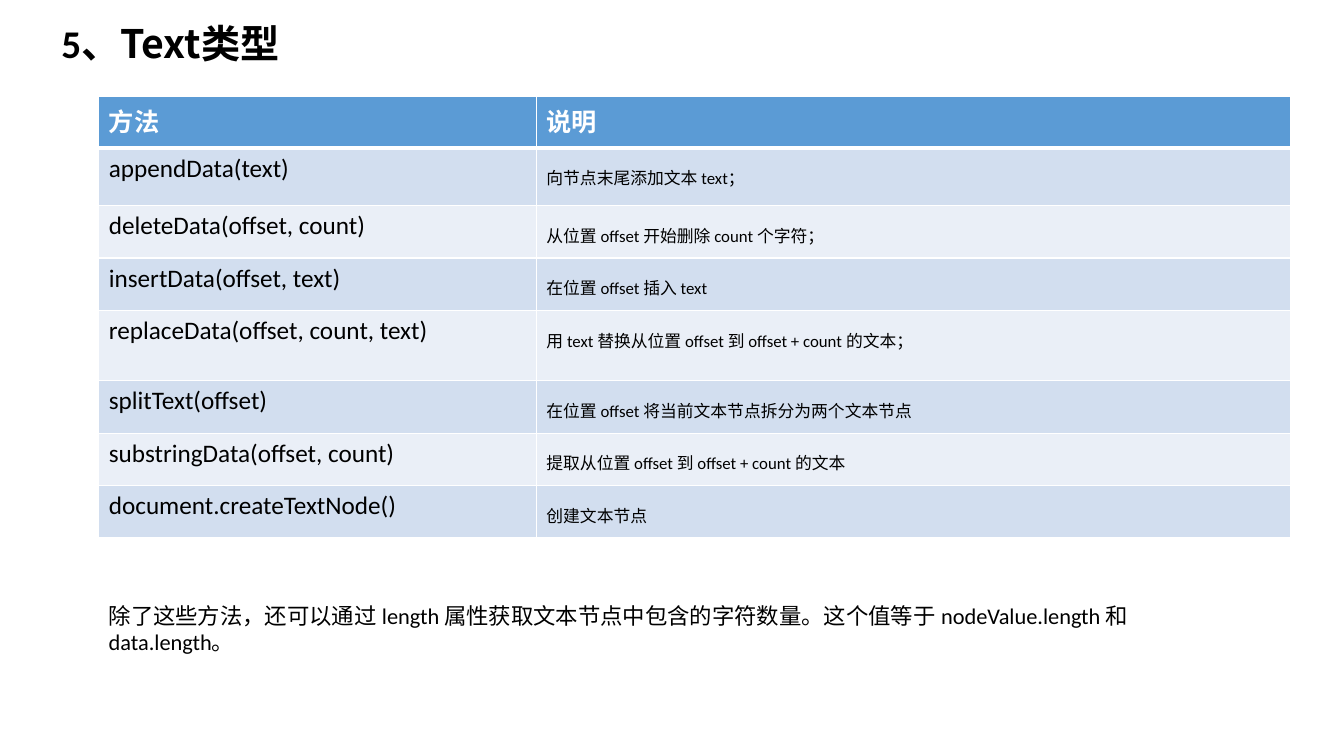
from lxml import etree
from pptx import Presentation
from pptx import util as u
from pptx.dml.color import RGBColor
from pptx.enum import lang, text
from pptx.oxml.ns import qn

TITLE = [("5、", "Calibri"), ("Text类型", "Noto Sans CJK JP")]
HEADER = ("方法", "说明")
METHODS = [
    ("appendData(text)", "向节点末尾添加文本 text；"),
    ("deleteData(offset, count)", "从位置 offset 开始删除 count 个字符；"),
    ("insertData(offset, text)", "在位置 offset 插入 text"),
    ("replaceData(offset, count, text)", "用 text 替换从位置 offset 到 offset + count 的文本；"),
    ("splitText(offset)", "在位置 offset 将当前文本节点拆分为两个文本节点"),
    ("substringData(offset, count)", "提取从位置 offset 到 offset + count 的文本"),
    ("document.createTextNode()", "创建文本节点"),
]
NOTE = ("除了这些方法，还可以通过 length 属性获取文本节点中包含的字符数量。"
        "这个值等于 nodeValue.length 和data.length。")

COLORS = {"header": "5B9BD5", "odd": "D2DEEF", "even": "EAEFF7",
          "white": "FFFFFF", "black": "000000"}
LEFT = 0.98
COL_WIDTHS = (4.34, 7.48)
ROW = 0.52
ROW_HEIGHTS = [0.51, 0.57, ROW, ROW, 0.7, ROW, ROW, ROW]


def add_run(p, words, size, color="black", bold=False, font="Calibri"):
    """Append one formatted run to a paragraph."""
    r = p.add_run()
    r.text = words
    f = r.font
    f.name, f.size, f.bold = font, u.Pt(size), bold
    f.color.rgb = RGBColor.from_string(COLORS[color])
    f.language_id = lang.MSO_LANGUAGE_ID.SIMPLIFIED_CHINESE


def set_borders(cell, top, bottom):
    """Draw white cell borders; top and bottom widths are in points."""
    tcPr = cell._tc.get_or_add_tcPr()
    widths = {"lnL": 1, "lnR": 1, "lnT": top, "lnB": bottom}
    for i, (side, width) in enumerate(widths.items()):
        ln = etree.Element(qn("a:" + side), w=str(u.Pt(width)))
        fill = etree.SubElement(ln, qn("a:solidFill"))
        etree.SubElement(fill, qn("a:srgbClr"), val=COLORS["white"])
        tcPr.insert(i, ln)


def fill_cell(cell, row, col, words):
    """Write and style one table cell by its row and column."""
    p = cell.text_frame.paragraphs[0]
    if row == 0:
        shade = "header"
        add_run(p, words, 18, "white", True)
    else:
        shade = "odd" if row % 2 else "even"
        add_run(p, words, 12 if col else 18)
        if col:
            p.line_spacing = 1.5
    cell.fill.solid()
    cell.fill.fore_color.rgb = RGBColor.from_string(COLORS[shade])
    set_borders(cell, 3 if row == 1 else 1, 3 if row == 0 else 1)


def add_methods_table(s):
    """Add the table of methods and their descriptions."""
    rows = [HEADER] + METHODS
    tbl = s.shapes.add_table(
        len(rows), len(HEADER), u.Inches(LEFT), u.Inches(0.96),
        u.Inches(sum(COL_WIDTHS)), u.Inches(sum(ROW_HEIGHTS))).table
    for column, width in zip(tbl.columns, COL_WIDTHS):
        column.width = u.Inches(width)
    for i, (words, height) in enumerate(zip(rows, ROW_HEIGHTS)):
        tbl.rows[i].height = u.Inches(height)
        for j, value in enumerate(words):
            fill_cell(tbl.cell(i, j), i, j, value)


def place_title(s):
    """Position the title placeholder and write its runs."""
    sp = s.shapes.title
    sp.left, sp.top = u.Inches(0.51), u.Inches(0.14)
    sp.width, sp.height = u.Inches(8.71), u.Inches(0.57)
    tf = sp.text_frame
    tf.word_wrap = True
    tf.auto_size = text.MSO_AUTO_SIZE.SHAPE_TO_FIT_TEXT
    tf.vertical_anchor = text.MSO_ANCHOR.TOP
    p = tf.paragraphs[0]
    p.alignment = text.PP_ALIGN.LEFT
    for words, font in TITLE:
        add_run(p, words, 28, bold=True, font=font)


def add_note(s):
    """Add the closing remark below the table."""
    tf = s.shapes.add_textbox(u.Inches(LEFT), u.Inches(5.92),
                              u.Inches(10.67), u.Inches(0.64)).text_frame
    tf.word_wrap = True
    tf.auto_size = text.MSO_AUTO_SIZE.SHAPE_TO_FIT_TEXT
    add_run(tf.paragraphs[0], NOTE, 16)


prs = Presentation()
prs.slide_width, prs.slide_height = u.Inches(13.33), u.Inches(7.5)
s = prs.slides.add_slide(prs.slide_layouts[5])
place_title(s)
add_methods_table(s)
add_note(s)
prs.save("out.pptx")
